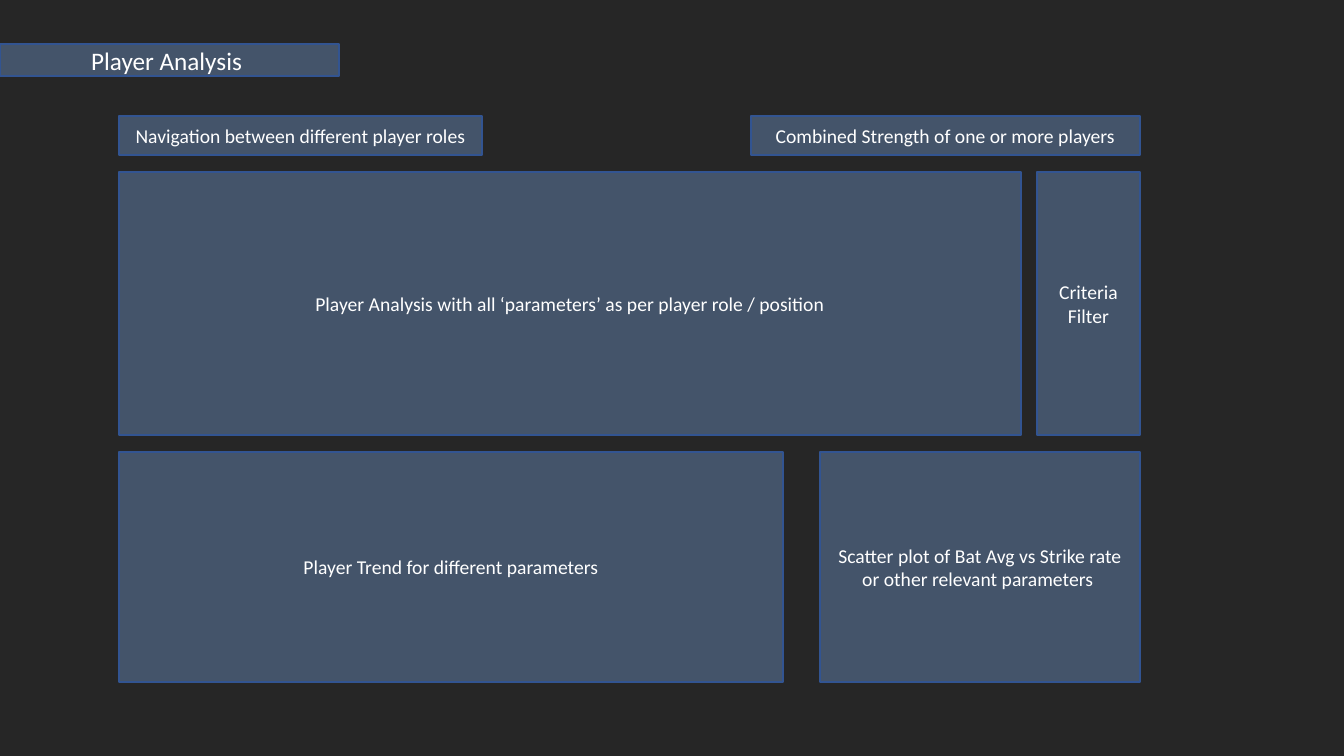
from pptx import Presentation
from pptx.dml.color import RGBColor
from pptx.enum.shapes import MSO_SHAPE
from pptx.enum.text import MSO_ANCHOR, PP_ALIGN
from pptx.util import Pt

RECTANGLE = MSO_SHAPE.RECTANGLE
MIDDLE = MSO_ANCHOR.MIDDLE
CENTER = PP_ALIGN.CENTER

EMU_PER_PX = 914400 / 100.8
PAGE_SIZE = (1344, 756)
TITLE_BOX = (0, 44, 339, 32)
DASHBOARD_BOX = (119, 116, 1021, 566)
ROW_GAP = 17
FONT = "Calibri"
COLORS = {
    "background": "262626",
    "panel": "44546A",
    "border": "325491",
    "text": "FFFFFF",
}
ROWS = [
    (39, (363, "Navigation between different player roles"),
     (389, "Combined Strength of one or more players")),
    (263, (902, "Player Analysis with all ‘parameters’ as per player role / position"),
     (103, "Criteria Filter")),
    (230, (664, "Player Trend for different parameters"),
     (320, "Scatter plot of Bat Avg vs Strike rate or other relevant parameters ")),
]


def px(length):
    """Turn a length in px into EMU."""
    return round(length * EMU_PER_PX)


def color(name):
    """Look up a named colour."""
    return RGBColor.from_string(COLORS[name])


def write_text(frame, text, size=14, font=FONT, fill="text", align=CENTER, anchor=MIDDLE):
    """Write one formatted paragraph into a text frame."""
    frame.word_wrap = True
    frame.vertical_anchor = anchor
    para = frame.paragraphs[0]
    para.alignment = align
    span = para.add_run()
    span.text = text
    span.font.name = font
    span.font.size = Pt(size)
    span.font.color.rgb = color(fill)


def add_panel(shapes, box, text, **text_format):
    """Add a bordered rectangle with centred text."""
    panel = shapes.add_shape(RECTANGLE, *map(px, box))
    panel.shadow.inherit = False
    panel.fill.solid()
    panel.fill.fore_color.rgb = color("panel")
    panel.line.color.rgb = color("border")
    panel.line.width = Pt(1)
    write_text(panel.text_frame, text, **text_format)


def add_dashboard(page, box):
    """Stack rows of panels set against the left and right edges of the box."""
    left, top, width, _ = box
    group = page.shapes.add_group_shape()
    for height, (left_width, left_text), (right_width, right_text) in ROWS:
        add_panel(group.shapes, (left, top, left_width, height), left_text)
        right_start = left + width - right_width
        add_panel(group.shapes, (right_start, top, right_width, height), right_text)
        top += height + ROW_GAP


def main():
    """Build the player analysis slide and save the deck."""
    deck = Presentation()
    deck.slide_width, deck.slide_height = map(px, PAGE_SIZE)
    page = deck.slides.add_slide(deck.slide_layouts[6])
    page.background.fill.solid()
    page.background.fill.fore_color.rgb = color("background")
    add_dashboard(page, DASHBOARD_BOX)
    add_panel(page.shapes, TITLE_BOX, "Player Analysis ", size=18)
    deck.save("out.pptx")


if __name__ == "__main__":
    main()
